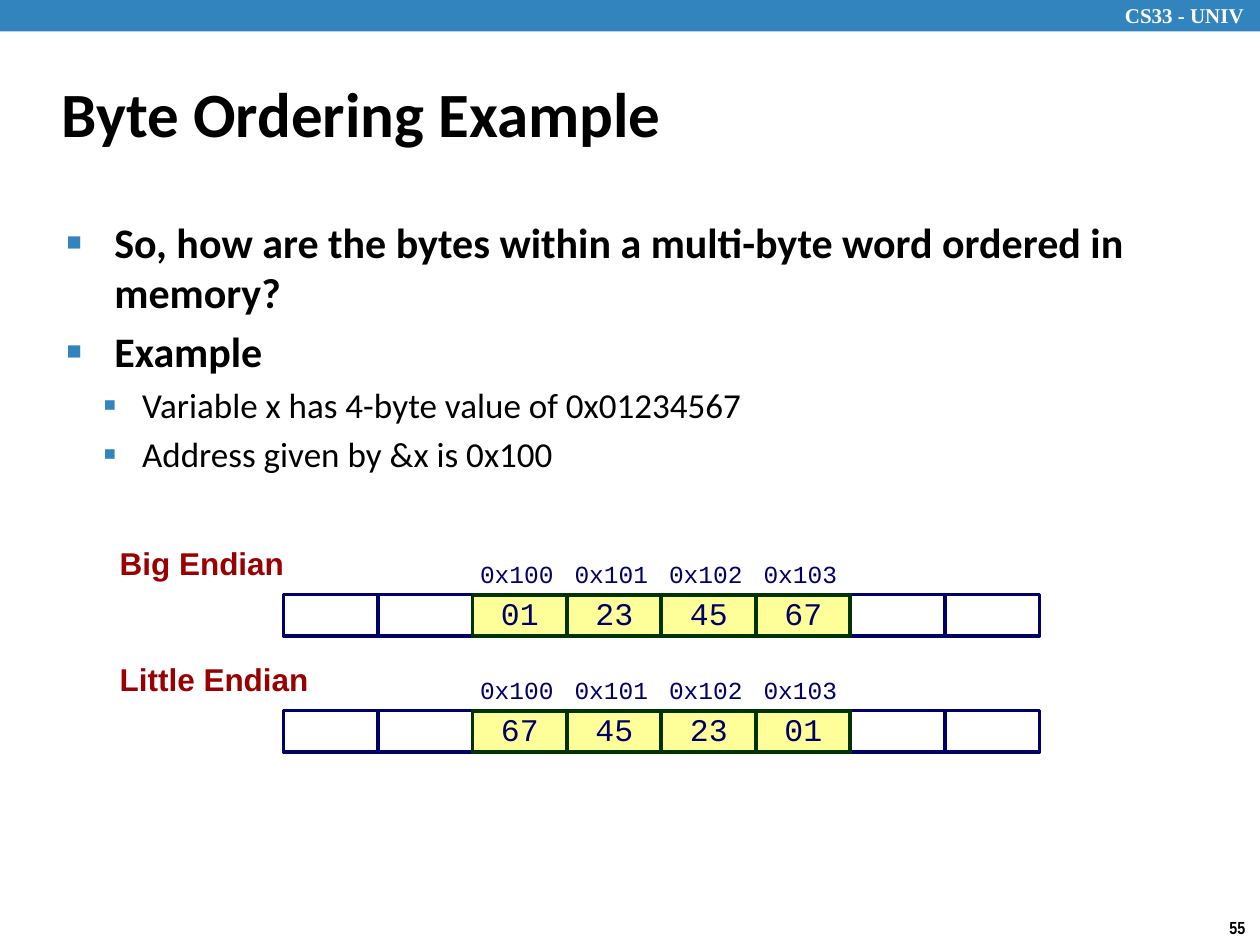
from dataclasses import dataclass

from lxml import etree
from pptx import Presentation
from pptx.dml.color import RGBColor
from pptx.enum.shapes import MSO_SHAPE
from pptx.enum.text import MSO_ANCHOR, PP_ALIGN
from pptx.oxml.ns import qn
from pptx.util import Inches, Pt

RECTANGLE = MSO_SHAPE.RECTANGLE
TOP, MIDDLE = MSO_ANCHOR.TOP, MSO_ANCHOR.MIDDLE
LEFT, CENTER = PP_ALIGN.LEFT, PP_ALIGN.CENTER


@dataclass(frozen=True)
class TextStyle:
    """Font, size, colour and weight of a text."""
    font: str
    size: float
    color: str
    bold: bool = False


@dataclass(frozen=True)
class Bullet:
    """Character, relative size, indents and text style of a list level."""
    character: str
    percent: int
    margin: float
    hanging: float
    style: TextStyle


@dataclass(frozen=True)
class Theme:
    """Colours and text styles of the slide."""
    accent: str = "3284BF"
    empty_fill: str = "FFFFFF"
    empty_line: str = "000066"
    byte_fill: str = "FFFF99"
    byte_line: str = "003300"
    header: TextStyle = TextStyle("Times New Roman", 12, "FFFFFF", True)
    number: TextStyle = TextStyle("Arial Narrow", 10, "000000", True)
    title: TextStyle = TextStyle("Calibri", 36, "000000", True)
    order: TextStyle = TextStyle("Arial", 18, "980002", True)
    address: TextStyle = TextStyle("Courier New", 14, "000066")
    byte: TextStyle = TextStyle("Courier New", 18, "000066")
    bullets: tuple = (
        Bullet("■", 60, 0.38, 0.38, TextStyle("Calibri", 24, "000000", True)),
        Bullet("▪", 110, 0.6, 0.31, TextStyle("Calibri", 20, "000000")),
    )


THEME = Theme()
CELL_WIDTH, CELL_HEIGHT = 0.75, 0.33
ROW_LEFT, CELL_COUNT, FIRST_BYTE = 2.25, 8, 2
ADDRESSES = ("0x100", "0x101", "0x102", "0x103")
BIG_ENDIAN = ("01", "23", "45", "67")
POINTS = (
    (0, "So, how are the bytes within a multi-byte word ordered in memory?"),
    (0, "Example"),
    (1, "Variable x has 4-byte value of 0x01234567"),
    (1, "Address given by &x is 0x100"),
)


def style_paragraph(paragraph, style):
    """Apply a text style to every run of a paragraph."""
    for run in paragraph.runs:
        run.font.name = style.font
        run.font.size = Pt(style.size)
        run.font.bold = style.bold
        run.font.color.rgb = RGBColor.from_string(style.color)


def fill_text(shape, text, style, anchor=TOP, align=LEFT, insets=(0.1, 0.05, 0.1, 0.05),
              wrap=True, line_spacing=1.0):
    """Write one styled paragraph into a shape."""
    frame = shape.text_frame
    frame.text = text
    frame.word_wrap = wrap
    frame.vertical_anchor = anchor
    frame.margin_left, frame.margin_top, frame.margin_right, frame.margin_bottom = map(Inches, insets)
    paragraph = frame.paragraphs[0]
    paragraph.alignment = align
    paragraph.line_spacing = line_spacing
    style_paragraph(paragraph, style)


def add_text(slide, box, text, style, **options):
    """Add a text box holding one paragraph."""
    fill_text(slide.shapes.add_textbox(*map(Inches, box)), text, style, **options)


def add_rectangle(slide, box, fill, line=None, line_width=2.0):
    """Add a flat rectangle, outlined if a line colour is given."""
    shape = slide.shapes.add_shape(RECTANGLE, *map(Inches, box))
    shape.shadow.inherit = False
    shape.fill.solid()
    shape.fill.fore_color.rgb = RGBColor.from_string(fill)
    if line:
        shape.line.color.rgb = RGBColor.from_string(line)
        shape.line.width = Pt(line_width)
    else:
        shape.line.fill.background()
    return shape


def set_bullet(paragraph, bullet):
    """Give a paragraph a coloured bullet and a hanging indent."""
    properties = paragraph._p.get_or_add_pPr()
    properties.set("marL", str(Inches(bullet.margin)))
    properties.set("indent", str(-Inches(bullet.hanging)))
    color = etree.SubElement(properties, qn("a:buClr"))
    etree.SubElement(color, qn("a:srgbClr"), val=THEME.accent)
    etree.SubElement(properties, qn("a:buSzPct"), val=str(bullet.percent * 1000))
    etree.SubElement(properties, qn("a:buFont"), typeface="Arial")
    etree.SubElement(properties, qn("a:buChar"), char=bullet.character)


def add_bullet_list(slide, box, points):
    """Add a text box with one bulleted paragraph per point."""
    frame = slide.shapes.add_textbox(*map(Inches, box)).text_frame
    frame.word_wrap = True
    frame.text = "\n".join(text for _, text in points)
    for paragraph, (level, _) in zip(frame.paragraphs, points):
        bullet = THEME.bullets[level]
        paragraph.level = level
        paragraph.space_before = Pt(bullet.style.size * 0.2)
        set_bullet(paragraph, bullet)
        style_paragraph(paragraph, bullet.style)


def add_memory_row(slide, top, name, values):
    """Add a named row of memory cells with addresses above its bytes."""
    add_text(slide, (0.92, top - 0.41, 1.96, 0.36), name, THEME.order,
             insets=(0.03, 0.03, 0.07, 0.03), line_spacing=0.95)
    cells = [(ROW_LEFT + index * CELL_WIDTH, top, CELL_WIDTH, CELL_HEIGHT)
             for index in range(CELL_COUNT)]
    byte_cells = cells[FIRST_BYTE:FIRST_BYTE + len(values)]
    for cell in cells:
        if cell not in byte_cells:
            add_rectangle(slide, cell, THEME.empty_fill, THEME.empty_line)
    for cell, address, value in zip(byte_cells, ADDRESSES, values):
        label = (cell[0], top - CELL_HEIGHT, CELL_WIDTH, CELL_HEIGHT)
        add_text(slide, label, address, THEME.address, anchor=MIDDLE,
                 insets=(0.06, 0.06, 0.1, 0.06), wrap=False)
        shape = add_rectangle(slide, cell, THEME.byte_fill, THEME.byte_line, 2.25)
        fill_text(shape, value, THEME.byte, anchor=MIDDLE, align=CENTER,
                  insets=(0, 0, 0, 0), wrap=False, line_spacing=0.9)


def main():
    """Build the slide and save it."""
    presentation = Presentation()
    presentation.slide_width, presentation.slide_height = Inches(10), Inches(7.5)
    slide = presentation.slides.add_slide(presentation.slide_layouts[6])
    add_rectangle(slide, (0, 0, 10, 0.25), THEME.accent)
    add_text(slide, (8.83, -0.03, 1.24, 0.3), "CS33 - UNIV", THEME.header)
    add_text(slide, (9.66, 7.23, 0.34, 0.27), "55", THEME.number, wrap=False)
    add_text(slide, (0.39, 0.48, 8.3, 0.83), "Byte Ordering Example", THEME.title, anchor=MIDDLE)
    add_bullet_list(slide, (0.43, 1.67, 8.64, 5.26), POINTS)
    add_memory_row(slide, 4.72, "Big Endian", BIG_ENDIAN)
    add_memory_row(slide, 5.64, "Little Endian", BIG_ENDIAN[::-1])
    presentation.save("out.pptx")


main()
